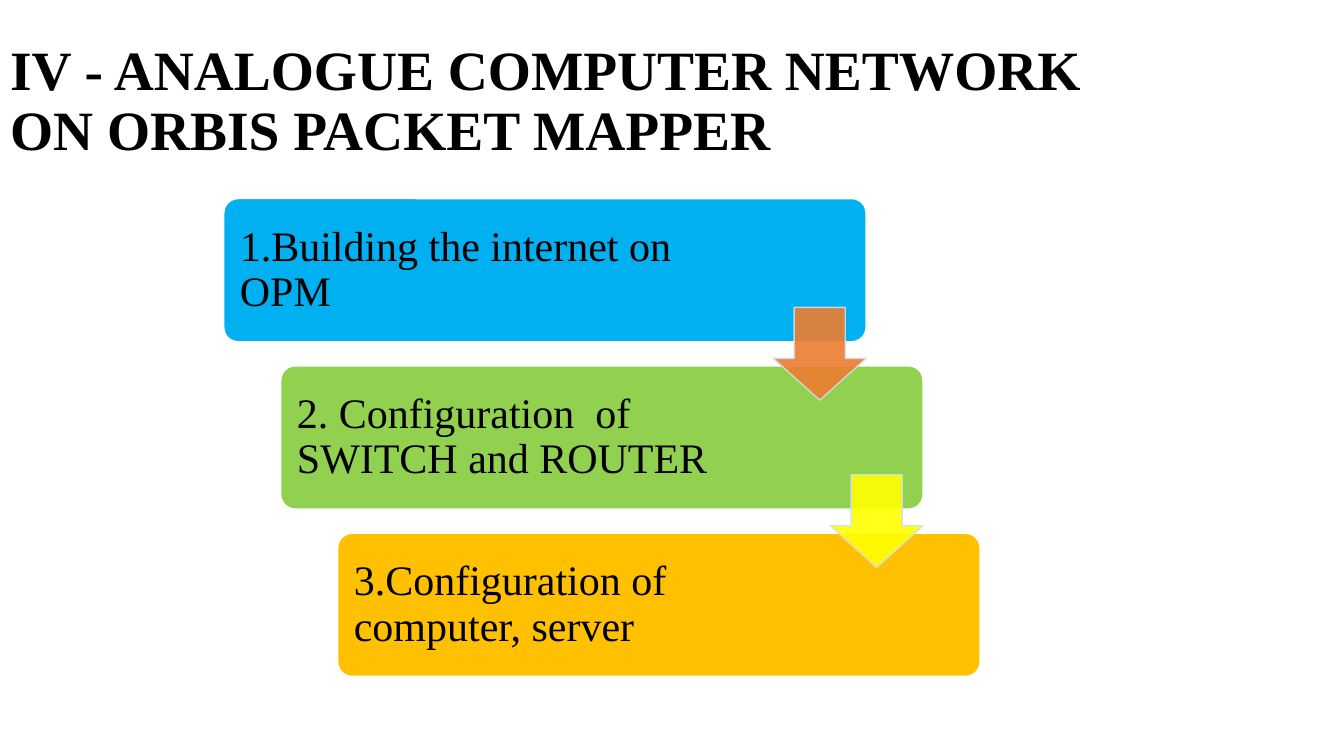
import dataclasses

import lxml.etree
import pptx
import pptx.dml.color
import pptx.enum.shapes
import pptx.enum.text
import pptx.oxml.ns
import pptx.util

PX = 9144  # EMU per px, 100 px to the inch


@dataclasses.dataclass(frozen=True)
class Theme:
    font: str = "Times New Roman"
    title_size: float = 39.6
    step_size: float = 30
    text: str = "000000"
    card_line: str = "FFFFFF"
    arrow_line: str = "D2DEEF"
    cards: tuple = ("00B0F0", "92D050", "FFC000")
    arrows: tuple = ("ED7D31", "FFFF00")


THEME = Theme()
STEPS = (
    "1.Building the internet on OPM",
    "2. Configuration  of SWITCH and ROUTER",
    "3.Configuration of computer, server",
)


def px(*lengths):
    return [pptx.util.Emu(round(length * PX)) for length in lengths]


def write_text(shape, text, *, size, bold=False, inset=None):
    frame = shape.text_frame
    frame.word_wrap = True
    frame.auto_size = pptx.enum.text.MSO_AUTO_SIZE.NONE
    frame.vertical_anchor = pptx.enum.text.MSO_ANCHOR.MIDDLE
    if inset is not None:
        frame.margin_left, frame.margin_top, frame.margin_right, frame.margin_bottom = px(*[inset] * 4)
    paragraph = frame.paragraphs[0]
    paragraph.alignment = pptx.enum.text.PP_ALIGN.LEFT
    paragraph.line_spacing = 0.9
    run = paragraph.add_run()
    run.text = text
    run.font.name = THEME.font
    run.font.size = pptx.util.Pt(size)
    run.font.bold = bold
    run.font.color.rgb = pptx.dml.color.RGBColor.from_string(THEME.text)


def add_preset(slide, kind, box, *, adjustments, fill, line, opacity=100):
    shape = slide.shapes.add_shape(kind, *px(*box))
    shape.shadow.inherit = False
    for index, value in enumerate(adjustments):
        shape.adjustments[index] = value
    shape.line.width = pptx.util.Pt(1)
    for format_, color in ((shape.fill, fill), (shape.line.fill, line)):
        format_.solid()
        format_.fore_color.rgb = pptx.dml.color.RGBColor.from_string(color)
    if opacity < 100:
        qn = pptx.oxml.ns.qn
        for color_element in shape.element.spPr.iter(qn("a:srgbClr")):
            lxml.etree.SubElement(color_element, qn("a:alpha"), val=str(opacity * 1000))


def add_title(slide, box):
    title = slide.shapes.title
    title.left, title.top, title.width, title.height = px(*box)
    write_text(title, "IV - ANALOGUE COMPUTER NETWORK ON ORBIS PACKET MAPPER",
               size=THEME.title_size, bold=True)


def add_staircase(slide, box):
    left, top, width, height = box
    card_width, card_height, arrow, padding = 637, 142, 92, 4
    step_x = (width - card_width) / (len(STEPS) - 1)
    step_y = (height - card_height) / (len(STEPS) - 1)
    shapes = pptx.enum.shapes.MSO_SHAPE

    # Cards, each one step further right and down
    for index, (text, fill) in enumerate(zip(STEPS, THEME.cards)):
        x, y = left + index * step_x, top + index * step_y
        add_preset(slide, shapes.ROUNDED_RECTANGLE, (x, y, card_width, card_height),
                   adjustments=[0.1], fill=fill, line=THEME.card_line)
        label = slide.shapes.add_textbox(
            *px(x + padding, y + padding, 480, card_height - 2 * padding))
        write_text(label, text, size=THEME.step_size, inset=12)

    # Arrows, flush with the upper card and centred on the gap below it
    for index, fill in enumerate(THEME.arrows):
        x = left + index * step_x + card_width - arrow
        y = top + index * step_y + (card_height + step_y - arrow) / 2
        add_preset(slide, shapes.DOWN_ARROW, (x, y, arrow, arrow),
                   adjustments=[0.55, 0.45], fill=fill, line=THEME.arrow_line, opacity=90)


def main():
    presentation = pptx.Presentation()
    presentation.slide_width, presentation.slide_height = px(1333, 750)
    slide = presentation.slides.add_slide(presentation.slide_layouts.get_by_name("Title Only"))
    add_title(slide, (0, 29, 1150, 145))
    add_staircase(slide, (222, 197, 750, 474))
    presentation.save("out.pptx")


if __name__ == "__main__":
    main()
